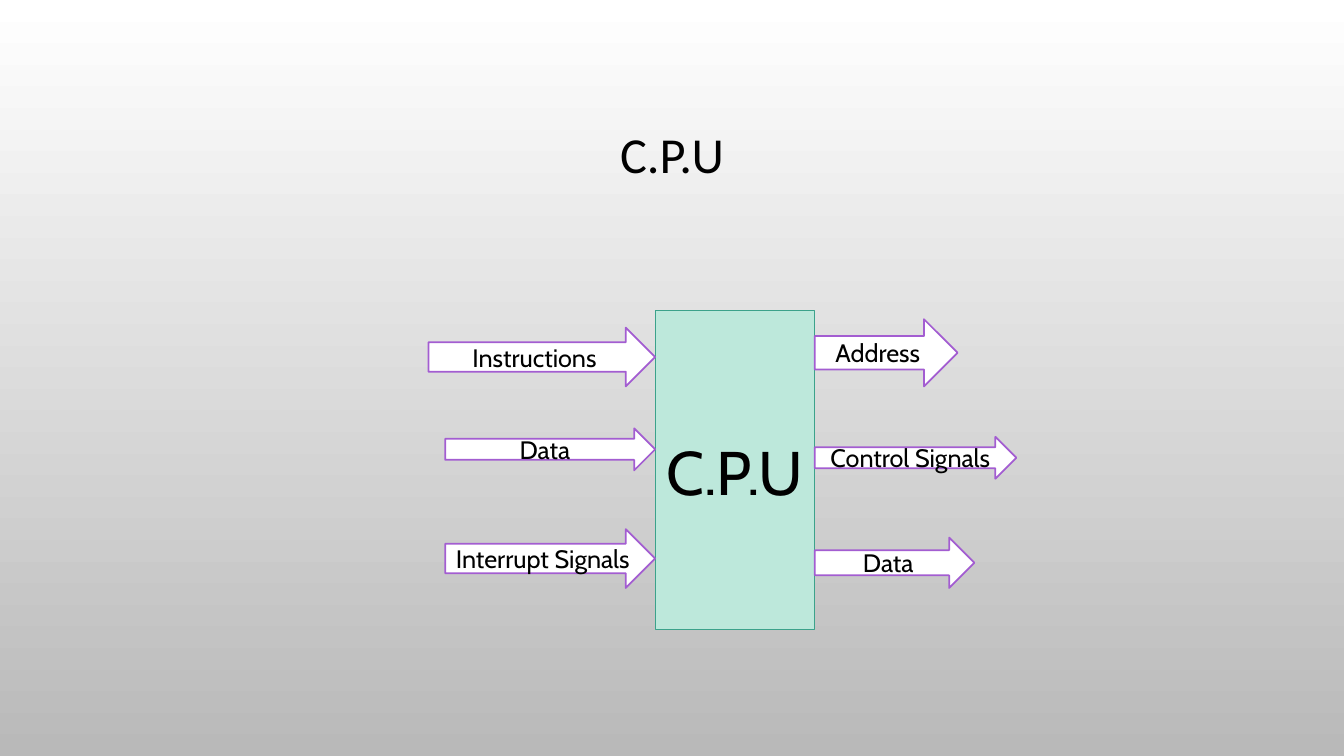
from dataclasses import dataclass

from pptx import Presentation
from pptx.dml.color import RGBColor
from pptx.enum.shapes import MSO_SHAPE
from pptx.enum.text import MSO_ANCHOR, PP_ALIGN
from pptx.util import Inches, Pt

# Content: label, row, length, height (in grid cells)
TITLE = "C.P.U"
CPU_LABEL = "C.P.U"
INPUTS = [
    ("Instructions", 39, 27, 7),
    ("Data", 51, 25, 5),
    ("Interrupt Signals", 63, 25, 7),
]
OUTPUTS = [
    ("Address", 38, 17, 8),
    ("Control Signals", 52, 24, 5),
    ("Data", 64, 19, 6),
]

# Grid: twelve cells to the inch; boxes are column, row, width, height
CELL = Inches(1) / 12
COLUMNS, ROWS = 160, 90
TITLE_BOX = (12, 8.2, 136, 21)
CPU_BOX = (78, 37, 19, 38)


@dataclass(frozen=True)
class Theme:
    title_font: str = "Calibri"
    body_font: str = "Cabin"
    title_size: int = 36
    cpu_size: int = 44
    arrow_size: int = 18
    text: str = "000000"
    background: tuple = ("FFFFFF", "B9B9B9")
    cpu_fill: str = "BDE8DB"
    cpu_line: str = "3CA28B"
    arrow_fill: str = "FFFFFF"
    arrow_line: str = "A35DD1"


THEME = Theme()


def cells(*counts):
    return [round(n * CELL) for n in counts]


def set_text(s, text, font, size):
    tf = s.text_frame
    tf.text = text
    tf.word_wrap = True
    tf.vertical_anchor = MSO_ANCHOR.MIDDLE
    p = tf.paragraphs[0]
    p.alignment = PP_ALIGN.CENTER
    r = p.runs[0]
    r.font.name = font
    r.font.size = Pt(size)
    r.font.color.rgb = RGBColor.from_string(THEME.text)
    return p


def add_block(slide, kind, box, text, size, fill, line, weight):
    s = slide.shapes.add_shape(kind, *cells(*box))
    s.shadow.inherit = False
    s.fill.solid()
    s.fill.fore_color.rgb = RGBColor.from_string(fill)
    s.line.color.rgb = RGBColor.from_string(line)
    s.line.width = Pt(weight)
    set_text(s, text, THEME.body_font, size)


def add_arrow(slide, text, column, row, length, height):
    add_block(slide, MSO_SHAPE.RIGHT_ARROW, (column, row, length, height), text,
              THEME.arrow_size, THEME.arrow_fill, THEME.arrow_line, 1.25)


def main():
    prs = Presentation()
    prs.slide_width, prs.slide_height = cells(COLUMNS, ROWS)
    slide = prs.slides.add_slide(prs.slide_layouts[5])

    # Background, shaded from top to bottom
    fill = slide.background.fill
    fill.gradient()
    fill.gradient_angle = 270
    for position, (stop, color) in enumerate(zip(fill.gradient_stops, THEME.background)):
        stop.position = position
        stop.color.rgb = RGBColor.from_string(color)

    # Title
    title = slide.shapes.title
    title.left, title.top, title.width, title.height = cells(*TITLE_BOX)
    p = set_text(title, TITLE, THEME.title_font, THEME.title_size)
    p.line_spacing = 0.9

    # Processor
    add_block(slide, MSO_SHAPE.RECTANGLE, CPU_BOX, CPU_LABEL,
              THEME.cpu_size, THEME.cpu_fill, THEME.cpu_line, 0.75)

    # Inputs end at its left side, outputs start at its right side
    cpu_left = CPU_BOX[0]
    cpu_right = cpu_left + CPU_BOX[2]
    for text, row, length, height in INPUTS:
        add_arrow(slide, text, cpu_left - length, row, length, height)
    for text, row, length, height in OUTPUTS:
        add_arrow(slide, text, cpu_right, row, length, height)

    prs.save("out.pptx")


if __name__ == "__main__":
    main()
